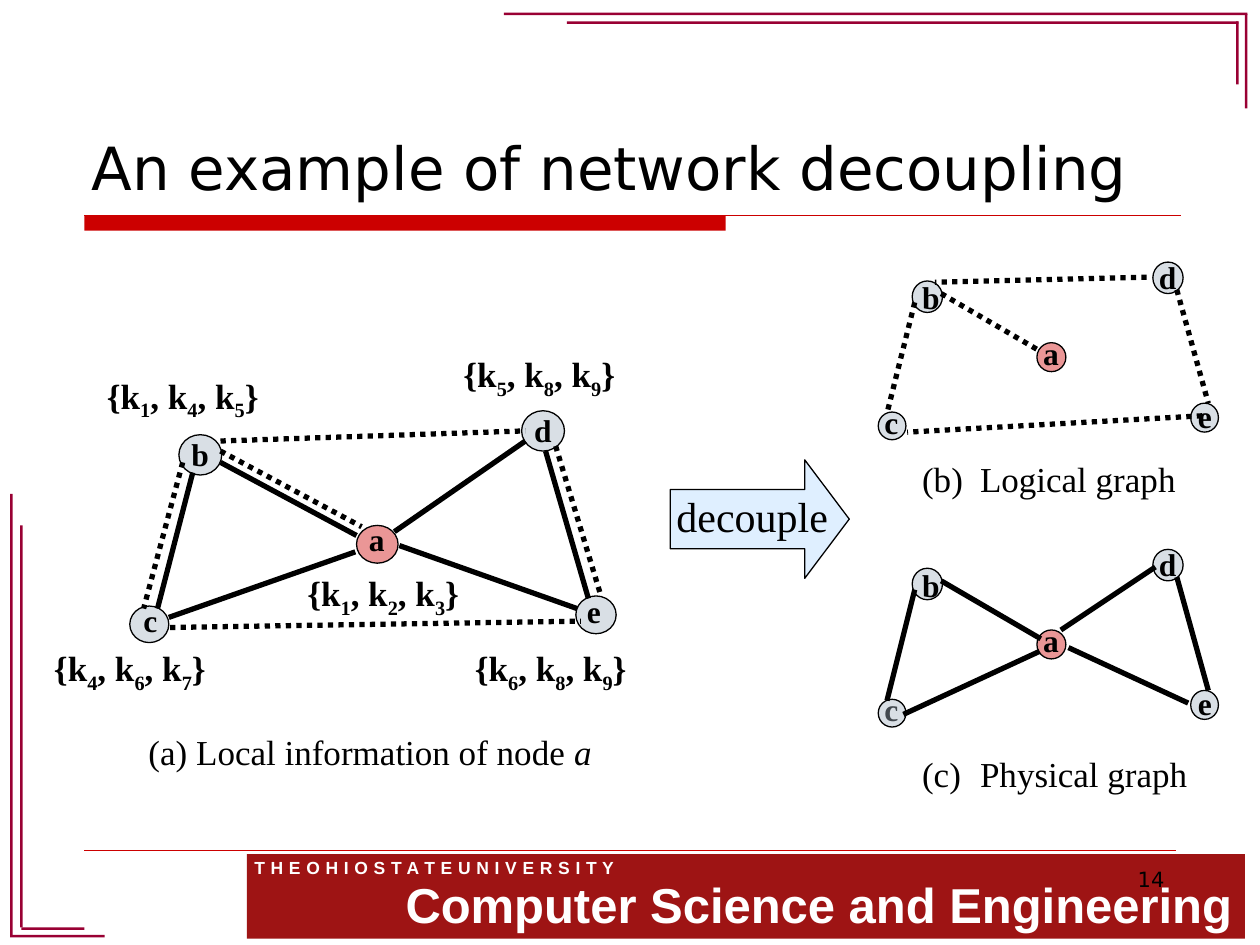
from lxml import etree
from pptx import Presentation
from pptx.dml.color import RGBColor
from pptx.enum.dml import MSO_LINE
from pptx.enum.shapes import MSO_CONNECTOR, MSO_SHAPE
from pptx.enum.text import MSO_ANCHOR, PP_ALIGN
from pptx.oxml.ns import qn
from pptx.util import Inches, Pt

RECTANGLE, OVAL, ARROW = MSO_SHAPE.RECTANGLE, MSO_SHAPE.OVAL, MSO_SHAPE.RIGHT_ARROW
STRAIGHT, DOTTED = MSO_CONNECTOR.STRAIGHT, MSO_LINE.ROUND_DOT
TOP, BOTTOM = MSO_ANCHOR.TOP, MSO_ANCHOR.BOTTOM
LEFT, RIGHT = PP_ALIGN.LEFT, PP_ALIGN.RIGHT
SERIF, SANS, BANNER = "Times New Roman", "DejaVu Sans", "Arial"
BLACK, WHITE, RED, MAROON = "000000", "FFFFFF", "CC0000", "990033"
NODE_GREY = "A3B2C1"

# Frame lines in the corners: left, top, width, height
CORNER_LINES = [
    (4, 0.1, 5.9, 0.02), (4.5, 0.17, 5.33, 0.02),
    (9.81, 0.17, 0.02, 0.5), (9.88, 0.11, 0.02, 0.75),
    (0.08, 3.92, 0.02, 3.5), (0.16, 4.17, 0.02, 3.19),
    (0.08, 7.42, 0.75, 0.02), (0.17, 7.36, 0.5, 0.02),
]

# Key sets of the local graph: indices, then left, top, width
KEY_SETS = [
    ("589", 3.58, 2.75, 1.5), ("467", 0.33, 5.08, 1.75), ("145", 0.75, 2.92, 1.42),
    ("123", 2.34, 4.49, 1.58), ("689", 3.67, 5.08, 1.5),
]

# Nodes: name, circle (left, top, width, height), label (left, top, width)
LOCAL_NODES = [
    ("b", (1.42, 3.45, 0.34, 0.32), (1.42, 3.4, 0.57)),
    ("a", (2.83, 4.17, 0.33, 0.3), (2.83, 4.08, 0.33)),
    ("c", (1.03, 4.81, 0.31, 0.29), (1.04, 4.72, 0.31)),
    ("e", (4.57, 4.73, 0.32, 0.3), (4.56, 4.65, 0.48)),
    ("d", (4.14, 3.26, 0.34, 0.32), (4.14, 3.21, 0.57)),
]
SMALL_NODES = [
    ("b", (7.24, 2.23, 0.24, 0.25), (7.22, 2.16, 0.4)),
    ("a", (8.23, 2.72, 0.23, 0.23), (8.18, 2.6, 0.33)),
    ("c", (6.97, 3.27, 0.22, 0.22), (6.92, 3.15, 0.31)),
    ("e", (9.45, 3.2, 0.22, 0.23), (9.41, 3.1, 0.34)),
    ("d", (9.15, 2.08, 0.24, 0.25), (9.1, 2, 0.4)),
]
PHYSICAL_DROP = 2.28  # the physical graph repeats the logical layout lower down

# Edges: start x, start y, end x, end y
LOCAL_SOLID = [
    (1.53, 3.75, 1.25, 4.83), (1.75, 3.67, 2.83, 4.25), (2.82, 4.38, 1.34, 4.9),
    (3.13, 4.22, 4.17, 3.5), (3.17, 4.33, 4.58, 4.83), (4.33, 3.58, 4.67, 4.75),
]
LOCAL_DOTTED = [
    (1.45, 3.67, 1.14, 4.83), (1.75, 3.58, 2.87, 4.18), (4.41, 3.54, 4.77, 4.73),
    (1.75, 3.5, 4.17, 3.42), (1.35, 4.98, 4.61, 4.93),
]
SHARED_EDGES = [
    (7.26, 2.4, 7.04, 3.28), (7.47, 2.33, 8.26, 2.79), (9.34, 2.3, 9.59, 3.2),
]
LOGICAL_EDGES = [(9.54, 3.3, 7.2, 3.43), (9.1, 2.2, 7.42, 2.24)]
PHYSICAL_EDGES = [
    (7.17, 5.67, 8.25, 5.17), (8.48, 5.14, 9.43, 5.58), (8.42, 5, 9.17, 4.5),
]


def color(hex_text):
    return RGBColor.from_string(hex_text)


def add_shape(page, kind, area, fill, opacity=100, outlined=False):
    shape = page.shapes.add_shape(kind, *map(Inches, area))
    shape.shadow.inherit = False
    shape.fill.solid()
    shape.fill.fore_color.rgb = color(fill)
    if opacity < 100:
        fill_color = shape.fill._xPr.find(qn("a:solidFill"))[0]
        etree.SubElement(fill_color, qn("a:alpha"), val=str(opacity * 1000))
    if outlined:
        shape.line.color.rgb = color(BLACK)
        shape.line.width = Pt(0.75)
    else:
        shape.line.fill.background()
    return shape


def add_line(page, ends, width=3, line_color=BLACK, dotted=False):
    line = page.shapes.add_connector(STRAIGHT, *map(Inches, ends))
    line.line.color.rgb = color(line_color)
    line.line.width = Pt(width)
    if dotted:
        line.line.dash_style = DOTTED
    etree.SubElement(line._element.spPr, qn("a:effectLst"))


def style(span, size, font=SERIF, text_color=BLACK, bold=False):
    span.font.size = Pt(size)
    span.font.name = font
    span.font.bold = bold
    span.font.color.rgb = color(text_color)


def add_text(page, area, text, size, font=SERIF, text_color=BLACK, bold=False,
             anchor=TOP, align=LEFT):
    box = page.shapes.add_textbox(*map(Inches, area))
    frame = box.text_frame
    frame.word_wrap = True
    frame.vertical_anchor = anchor
    frame.text = text
    para = frame.paragraphs[0]
    para.alignment = align
    for span in para.runs:
        style(span, size, font, text_color, bold)
    return box


def add_caption(page, area, mark, title):
    box = add_text(page, area, f"{mark}\t{title}", 20)
    properties = box.text_frame.paragraphs[0]._p.get_or_add_pPr()
    tabs = etree.SubElement(properties, qn("a:tabLst"))
    etree.SubElement(tabs, qn("a:tab"), pos=str(Inches(0.46)), algn="l")


def add_key_set(page, indices, left, top, width):
    box = add_text(page, (left, top, width, 0.48), "", 20)
    box.fill.solid()
    box.fill.fore_color.rgb = color(WHITE)
    para = box.text_frame.paragraphs[0]
    pieces = ["{k", indices[0], ", k", indices[1], ", k", indices[2], "}"]
    for piece in pieces:
        span = para.add_run()
        span.text = piece
        style(span, 20, bold=True)
        if piece.isdigit():
            span.font._element.set("baseline", "-25000")


def add_node(page, node, drop=0, label_behind=False):
    name, (left, top, width, height), (label_left, label_top, label_width) = node
    label = ((label_left, label_top + drop, label_width, 0.4), name, 18)
    if label_behind:
        add_text(page, *label, bold=True)
    add_shape(page, OVAL, (left, top + drop, width, height),
              RED if name == "a" else NODE_GREY, opacity=41, outlined=True)
    if not label_behind:
        add_text(page, *label, bold=True)


def add_edges(page, edges, dotted=False, drop=0):
    for x1, y1, x2, y2 in edges:
        add_line(page, (x1, y1 + drop, x2, y2 + drop), dotted=dotted)


def add_frame(page):
    # Title rule and footer rule
    add_shape(page, RECTANGLE, (0.67, 1.71, 5.09, 0.12), RED)
    add_line(page, (0.67, 1.71, 9.37, 1.71), 0.75, RED)
    add_line(page, (0.67, 6.75, 9.33, 6.75), 0.25, RED)

    # Department banner
    add_shape(page, RECTANGLE, (1.96, 6.78, 7.92, 0.67), "9E1414")
    school = add_text(page, (1.92, 6.75, 3.08, 0.27),
                      "T H E O H I O S T A T E U N I V E R S I T Y", 10, BANNER, WHITE, True)
    school.text_frame.paragraphs[0].runs[0].font._element.set("spc", "25")
    department = add_text(page, (3.12, 6.89, 6.92, 0.57),
                          "Computer Science and Engineering", 28, BANNER, WHITE, True)
    properties = department.text_frame.paragraphs[0].runs[0].font._element
    effects = etree.Element(qn("a:effectLst"))
    properties.find(qn("a:solidFill")).addnext(effects)
    shadow = etree.SubElement(effects, qn("a:outerShdw"), dist="28575", dir="2700000")
    etree.SubElement(shadow, qn("a:srgbClr"), val=BLACK)

    for area in CORNER_LINES:
        add_shape(page, RECTANGLE, area, MAROON)


def add_local_graph(page):
    for key_set in KEY_SETS:
        add_key_set(page, *key_set)
    for node in LOCAL_NODES:
        add_node(page, node)
    add_edges(page, LOCAL_SOLID)
    add_edges(page, LOCAL_DOTTED, dotted=True)
    caption = add_text(page, (1.08, 5.75, 4.08, 0.5), "(a) Local information of node ", 20)
    span = caption.text_frame.paragraphs[0].add_run()
    span.text = "a"
    style(span, 20)
    span.font.italic = True


def add_decouple_arrow(page):
    arrow = add_shape(page, ARROW, (5.32, 3.65, 1.42, 0.94), "99CCFF", 31, True)
    arrow.adjustments[0], arrow.adjustments[1] = 0.5, 0.376
    add_text(page, (5.27, 3.84, 1.5, 0.5), "decouple", 24)


def add_small_graphs(page):
    for node in SMALL_NODES:
        add_node(page, node)
        add_node(page, node, PHYSICAL_DROP, label_behind=node[0] == "c")
    add_edges(page, SHARED_EDGES + LOGICAL_EDGES, dotted=True)
    add_edges(page, SHARED_EDGES, drop=PHYSICAL_DROP)
    add_edges(page, PHYSICAL_EDGES)
    add_caption(page, (7.22, 3.58, 2.36, 0.44), "(b)", "Logical graph")
    add_caption(page, (7.22, 5.92, 2.36, 0.44), "(c)", "Physical graph")


def main():
    deck = Presentation()
    deck.slide_width, deck.slide_height = Inches(10), Inches(7.5)
    page = deck.slides.add_slide(deck.slide_layouts[6])
    add_frame(page)
    add_text(page, (0.63, 0.33, 8.75, 1.33), "An example of network decoupling", 34, SANS,
             anchor=BOTTOM)
    add_local_graph(page)
    add_decouple_arrow(page)
    add_small_graphs(page)
    add_text(page, (7.17, 6.83, 2.17, 0.52), "14", 12, SANS, align=RIGHT)
    deck.save("out.pptx")


if __name__ == "__main__":
    main()
